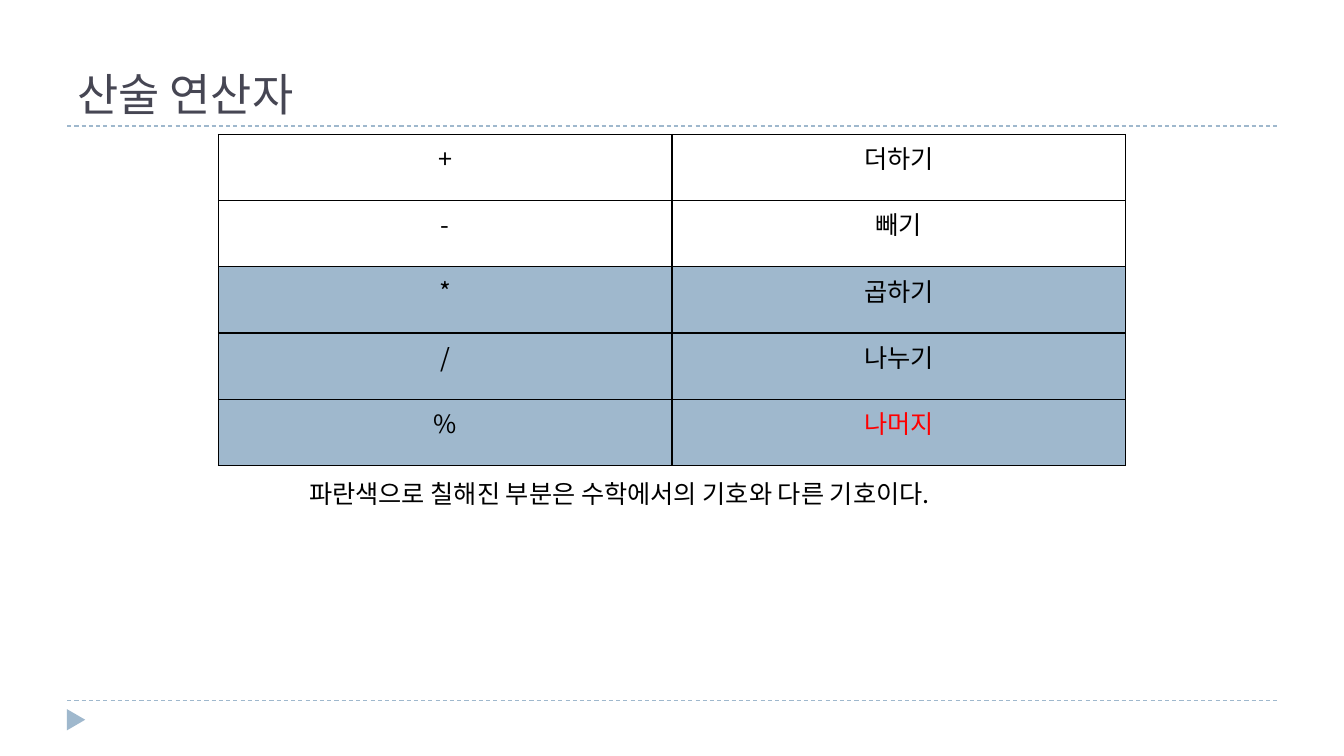
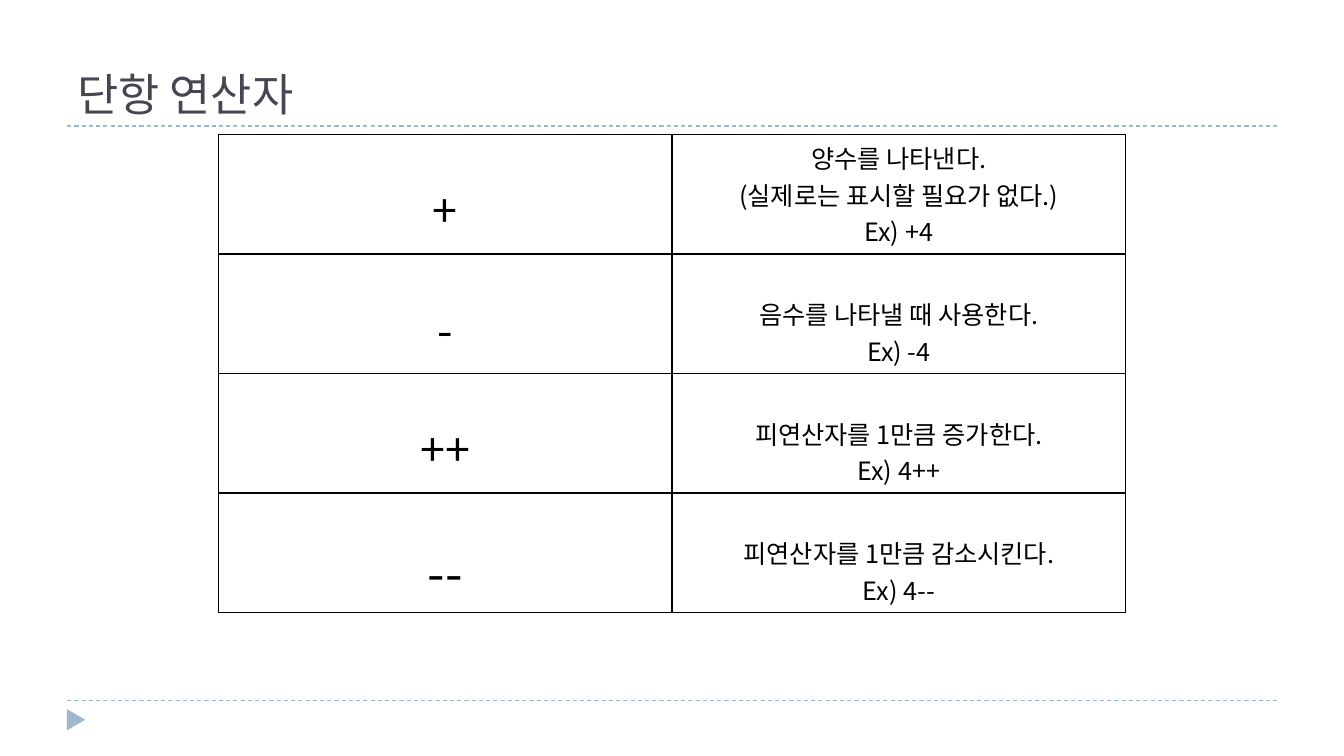
from lxml.etree import SubElement
from pptx import Presentation
from pptx.dml.color import RGBColor
from pptx.enum.dml import MSO_LINE_DASH_STYLE as Dash
from pptx.enum.shapes import MSO_CONNECTOR as Connector, MSO_SHAPE as Shape
from pptx.enum.text import MSO_ANCHOR as Anchor, MSO_AUTO_SIZE as AutoSize, PP_ALIGN as Align
from pptx.oxml.ns import qn
from pptx.util import Pt

FONT = "Noto Sans CJK KR"
BLUE = RGBColor(0x9F, 0xB8, 0xCD)
SLATE = RGBColor(0x46, 0x46, 0x53)
BLACK = RGBColor(0, 0, 0)
RED = RGBColor(0xFF, 0, 0)

TITLE_SIZE = 32
TEXT_SIZE = 18
MARGIN = 48
CONTENT_WIDTH = 864
TITLE_RULE = 90
FOOTER_RULE = 500.4
TABLE_LEFT = 156
TABLE_TOP = 96
COLUMN_WIDTH = 324
CELL_INSET = 3.6
LOWERED_INSET = 29.6


class Deck:
    def __init__(self):
        self.presentation = Presentation()
        self.presentation.slide_width = Pt(960)
        self.presentation.slide_height = Pt(540)
        self.slide = None

    def add_slide(self, title):
        self.slide = self.presentation.slides.add_slide(self.presentation.slide_layouts[5])
        self.rule(FOOTER_RULE)
        self.rule(TITLE_RULE)
        self.footer_marker()
        shape = self.slide.shapes.title
        shape.left, shape.top = Pt(MARGIN), Pt(12)
        shape.width, shape.height = Pt(CONTENT_WIDTH), Pt(78)
        frame = shape.text_frame
        frame.vertical_anchor = Anchor.BOTTOM
        frame.auto_size = AutoSize.NONE
        self.add_lines(frame, [title], TITLE_SIZE, SLATE)

    def rule(self, top):
        line = self.slide.shapes.add_connector(
            Connector.STRAIGHT, Pt(MARGIN), Pt(top), Pt(MARGIN + CONTENT_WIDTH), Pt(top))
        line.line.color.rgb = BLUE
        line.line.width = Pt(0.75)
        line.line.dash_style = Dash.DASH
        SubElement(line.element.spPr, qn("a:effectLst"))

    def footer_marker(self):
        marker = self.slide.shapes.add_shape(
            Shape.ISOSCELES_TRIANGLE, Pt(46.8), Pt(507.6), Pt(15.1), Pt(13))
        marker.rotation = 90
        marker.shadow.inherit = False
        marker.fill.solid()
        marker.fill.fore_color.rgb = BLUE
        marker.line.fill.background()

    def add_lines(self, frame, lines, size=TEXT_SIZE, color=BLACK, align=Align.LEFT):
        for index, text in enumerate(lines):
            paragraph = frame.add_paragraph() if index else frame.paragraphs[0]
            paragraph.alignment = align
            run = paragraph.add_run()
            run.text = text
            run.font.size = Pt(size)
            run.font.name = FONT
            run.font.color.rgb = color
            SubElement(run._r.get_or_add_rPr(), qn("a:ea"), typeface=FONT)

    def caption(self, text, left, top, width, height):
        box = self.slide.shapes.add_textbox(Pt(left), Pt(top), Pt(width), Pt(height))
        box.text_frame.word_wrap = False
        box.text_frame.auto_size = AutoSize.SHAPE_TO_FIT_TEXT
        self.add_lines(box.text_frame, [text])

    def table(self, row_count, row_height):
        table = self.slide.shapes.add_table(
            row_count, 2, Pt(TABLE_LEFT), Pt(TABLE_TOP),
            Pt(2 * COLUMN_WIDTH), Pt(row_count * row_height)).table
        table.first_row = table.horz_banding = False
        for row in table.rows:
            row.height = Pt(row_height)
        return table

    def cell(self, cell, lines, size=TEXT_SIZE, color=BLACK, fill=None, inset=CELL_INSET):
        properties = cell._tc.get_or_add_tcPr()
        for side in ("a:lnL", "a:lnR", "a:lnT", "a:lnB"):
            border = SubElement(properties, qn(side), w=str(Pt(1)))
            solid = SubElement(border, qn("a:solidFill"))
            SubElement(solid, qn("a:srgbClr"), val=str(BLACK))
        if fill is None:
            cell.fill.background()
        else:
            cell.fill.solid()
            cell.fill.fore_color.rgb = fill
        cell.margin_top = Pt(inset)
        self.add_lines(cell.text_frame, lines, size, color, Align.CENTER)


def arithmetic_operators(deck):
    deck.add_slide("산술 연산자")
    operators = [
        ("+", "더하기", None, BLACK),
        ("-", "빼기", None, BLACK),
        ("*", "곱하기", BLUE, BLACK),
        ("/", "나누기", BLUE, BLACK),
        ("%", "나머지", BLUE, RED),
    ]
    table = deck.table(len(operators), 47.3)
    for row, (symbol, meaning, fill, color) in enumerate(operators):
        deck.cell(table.cell(row, 0), [symbol], fill=fill)
        deck.cell(table.cell(row, 1), [meaning], color=color, fill=fill)
    deck.caption("파란색으로 칠해진 부분은 수학에서의 기호와 다른 기호이다.", 213.8, 338.4, 507.6, 28.8)


def unary_operators(deck):
    deck.add_slide("단항 연산자")
    operators = [
        ("+", 32, ["양수를 나타낸다.", "(실제로는 표시할 필요가 없다.)", "Ex) +4"]),
        ("-", 32, ["음수를 나타낼 때 사용한다.", "Ex) -4"]),
        ("++", 32, ["피연산자를 1만큼 증가한다.", "Ex) 4++"]),
        ("--", 36, ["피연산자를 1만큼 감소시킨다.", "Ex) 4--"]),
    ]
    table = deck.table(len(operators), 85.4)
    for row, (symbol, size, lines) in enumerate(operators):
        inset = CELL_INSET if len(lines) == 3 else LOWERED_INSET
        deck.cell(table.cell(row, 0), [symbol], size, inset=LOWERED_INSET)
        deck.cell(table.cell(row, 1), lines, inset=inset)


def main():
    deck = Deck()
    arithmetic_operators(deck)
    unary_operators(deck)
    deck.presentation.save("out.pptx")


if __name__ == "__main__":
    main()
